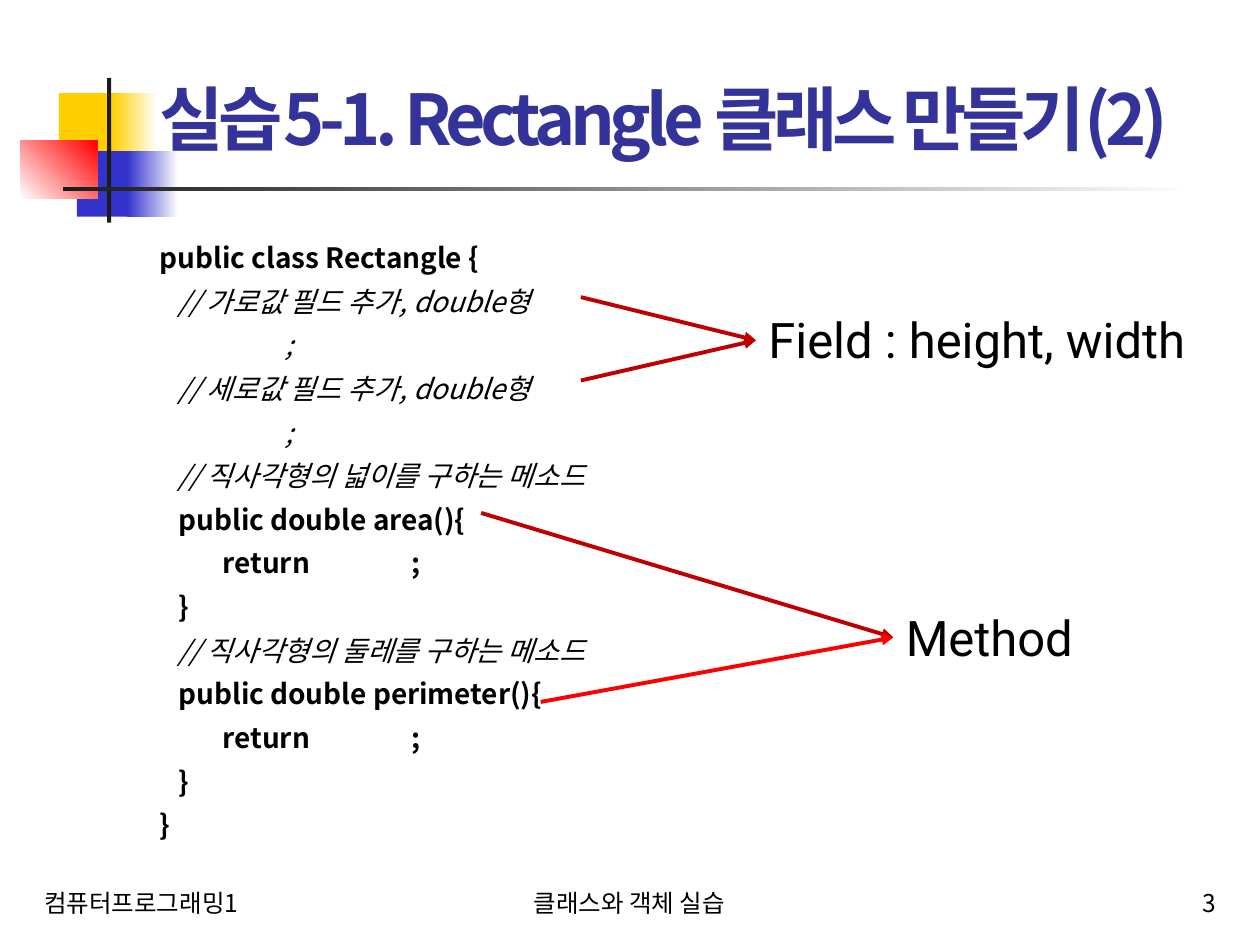
import pptx
import pptx.dml.color
import pptx.enum.dml
import pptx.enum.shapes
import pptx.enum.text
import pptx.oxml
import pptx.oxml.ns
import pptx.util
from lxml import etree

Cm = pptx.util.Cm
Pt = pptx.util.Pt
ALIGN = pptx.enum.text.PP_ALIGN
ANCHOR = pptx.enum.text.MSO_ANCHOR
AUTO_SIZE = pptx.enum.text.MSO_AUTO_SIZE

COLORS = {
    "yellow": "FFCF01", "blue": "3333CC", "red": "FF0000", "white": "FFFFFF",
    "rule": "1C1C1C", "title": "333399", "text": "000000", "arrow": "C00000",
}
SANS, ROBOTO = "Noto Sans CJK KR", "Roboto"
CODE_INDENT = 0.38

# left, top, width, height, first colour, second colour, angle
DECORATION = [
    (1.19, 1.88, 1.22, 1.32, "yellow", None, 0),
    (2.26, 1.88, 0.91, 1.32, "yellow", "white", 0),
    (1.55, 3.05, 1.17, 1.32, "blue", None, 0),
    (2.57, 3.05, 1.02, 1.32, "blue", "white", 0),
    (0.41, 2.84, 1.55, 1.17, "white", "red", 45),
    (2.16, 1.57, 0.08, 2.92, "rule", None, 0),
    (1.27, 3.78, 22.86, 0.08, "rule", "white", 0),
]

BOLD, ITALIC = {"bold": True}, {"italic": True}
BOLD_BLANK = {"bold": True, "underline": True}
ITALIC_BLANK = {"italic": True, "underline": True}

# indent, tab stops, runs
CODE = [
    (0, [], [("public class Rectangle {", BOLD)]),
    (CODE_INDENT, [], [("// 가로값 필드 추가, double형", ITALIC)]),
    (0, [0.5, 3.53], [("\t", ITALIC), ("\t", ITALIC_BLANK), (";", ITALIC)]),
    (CODE_INDENT, [], [("// 세로값 필드 추가, double형", ITALIC)]),
    (0, [CODE_INDENT, 3.4], [("\t", ITALIC), ("\t", ITALIC_BLANK), (";", ITALIC)]),
    (CODE_INDENT, [], [("// 직사각형의 넓이를 구하는 메소드", ITALIC)]),
    (CODE_INDENT, [], [("public double area(){", BOLD)]),
    (0, [3.81, 5.82, 9.0], [("\treturn\t", BOLD), ("\t", BOLD_BLANK), (";", BOLD)]),
    (CODE_INDENT, [], [("}", BOLD)]),
    (CODE_INDENT, [], [("// 직사각형의 둘레를 구하는 메소드", ITALIC)]),
    (CODE_INDENT, [], [("public double perimeter(){", BOLD)]),
    (0, [3.81, 5.82, 9.26], [("\treturn\t", BOLD), ("\t", BOLD_BLANK), (";", BOLD)]),
    (CODE_INDENT, [], [("}", BOLD)]),
    (0, [], [("}", BOLD)]),
]

FOOTERS = [
    (0.64, 5.87, "컴퓨터프로그래밍1", ALIGN.LEFT),
    (8.13, 9.12, "클래스와 객체 실습", ALIGN.CENTER),
    (19.48, 5.28, "3", ALIGN.RIGHT),
]
LABELS = [(15.24, 6.12, 9.63, "Field : height, width"), (18.01, 12.12, 4.11, "Method")]
FIELD_TIP, METHOD_TIP = (15.24, 6.86), (18.01, 12.85)
ARROWS = [
    ((9.7, 10.34), METHOD_TIP, "arrow"),
    ((10.9, 14.15), METHOD_TIP, "red"),
    ((11.71, 5.99), FIELD_TIP, "arrow"),
    ((11.71, 7.67), FIELD_TIP, "arrow"),
]


def rgb(name):
    """Return the named colour."""
    return pptx.dml.color.RGBColor.from_string(COLORS[name])


def apply(target, values):
    """Set each attribute of target from a dict."""
    for attribute, value in values.items():
        setattr(target, attribute, value)


def add_run(paragraph, text, size, font=SANS, color="text", **style):
    """Add formatted text, with the same font for Latin and Korean."""
    run = paragraph.add_run()
    run.text = text
    apply(run.font, {"size": Pt(size), "name": font, **style})
    run.font.color.rgb = rgb(color)
    east_asian = etree.SubElement(run.font._element, pptx.oxml.ns.qn("a:ea"))
    east_asian.set("typeface", font)
    return run


def add_block(slide, left, top, width, height):
    """Add a decoration-free text box and return its frame."""
    box = slide.shapes.add_textbox(Cm(left), Cm(top), Cm(width), Cm(height))
    box.text_frame.word_wrap = True
    return box.text_frame


def add_rectangle(slide, left, top, width, height, first, second, angle):
    """Add a borderless rectangle, solid or with a gradient."""
    rectangle = slide.shapes.add_shape(
        pptx.enum.shapes.MSO_SHAPE.RECTANGLE, Cm(left), Cm(top), Cm(width), Cm(height))
    rectangle.shadow.inherit = False
    rectangle.line.fill.background()
    if second is None:
        rectangle.fill.solid()
        rectangle.fill.fore_color.rgb = rgb(first)
        return
    rectangle.fill.gradient()
    rectangle.fill.gradient_angle = angle
    for stop, color in zip(rectangle.fill.gradient_stops, (first, second)):
        stop.color.rgb = rgb(color)


def add_title(slide):
    """Place and format the title."""
    title = slide.shapes.title
    apply(title, {"left": Cm(2.97), "top": Cm(0.58), "width": Cm(21.87), "height": Cm(2.77)})
    apply(title.text_frame, {"vertical_anchor": ANCHOR.BOTTOM, "word_wrap": True,
                             "auto_size": AUTO_SIZE.NONE})
    paragraph = title.text_frame.paragraphs[0]
    paragraph.alignment = ALIGN.LEFT
    run = add_run(paragraph, "실습5-1. Rectangle 클래스 만들기(2)", 40, color="title", bold=True)
    run.font._element.set("spc", "-300")


def set_layout(paragraph, indent, stops):
    """Set the left indent and the tab stops of a paragraph."""
    properties = paragraph._p.get_or_add_pPr()
    properties.set("marL", str(Cm(indent)))
    properties.set("indent", "0")
    if stops:
        tabs = etree.SubElement(properties, pptx.oxml.ns.qn("a:tabLst"))
        for stop in stops:
            tab = etree.SubElement(tabs, pptx.oxml.ns.qn("a:tab"))
            tab.set("pos", str(Cm(stop)))
            tab.set("algn", "l")


def add_code(slide):
    """Add the class listing with its blanks."""
    frame = add_block(slide, 2.97, 4.52, 18.8, 12.7)
    for number, (indent, stops, runs) in enumerate(CODE):
        paragraph = frame.add_paragraph() if number else frame.paragraphs[0]
        paragraph.line_spacing = 1.3
        set_layout(paragraph, indent, stops)
        for text, style in runs:
            add_run(paragraph, text, 16, **style)


def add_footer(slide, left, width, text, alignment):
    """Add one part of the footer line."""
    frame = add_block(slide, left, 17.35, width, 1.27)
    frame.vertical_anchor = ANCHOR.BOTTOM
    frame.paragraphs[0].alignment = alignment
    add_run(frame.paragraphs[0], text, 14)


def add_label(slide, left, top, width, text):
    """Add a label that explains a group of code lines."""
    frame = add_block(slide, left, top, width, 1.45)
    frame.word_wrap = False
    add_run(frame.paragraphs[0], text, 28, font=ROBOTO)


def add_arrow(slide, start, end, color):
    """Add an arrow from a code line to its label."""
    arrow = slide.shapes.add_connector(
        pptx.enum.shapes.MSO_CONNECTOR.STRAIGHT, *(Cm(value) for value in start + end))
    arrow.line.width = Pt(2.25)
    arrow.line.color.rgb = rgb(color)
    head = etree.SubElement(arrow.line._get_or_add_ln(), pptx.oxml.ns.qn("a:tailEnd"))
    head.set("type", "triangle")
    etree.SubElement(arrow._element.spPr, pptx.oxml.ns.qn("a:effectLst"))


def main():
    """Build the slide and save it."""
    deck = pptx.Presentation()
    apply(deck, {"slide_width": Cm(25.4), "slide_height": Cm(19.05)})
    slide = deck.slides.add_slide(deck.slide_layouts[5])
    for add, items in ((add_rectangle, DECORATION), (add_footer, FOOTERS)):
        for item in items:
            add(slide, *item)
    add_title(slide)
    add_code(slide)
    for add, items in ((add_label, LABELS), (add_arrow, ARROWS)):
        for item in items:
            add(slide, *item)
    deck.save("out.pptx")


main()
